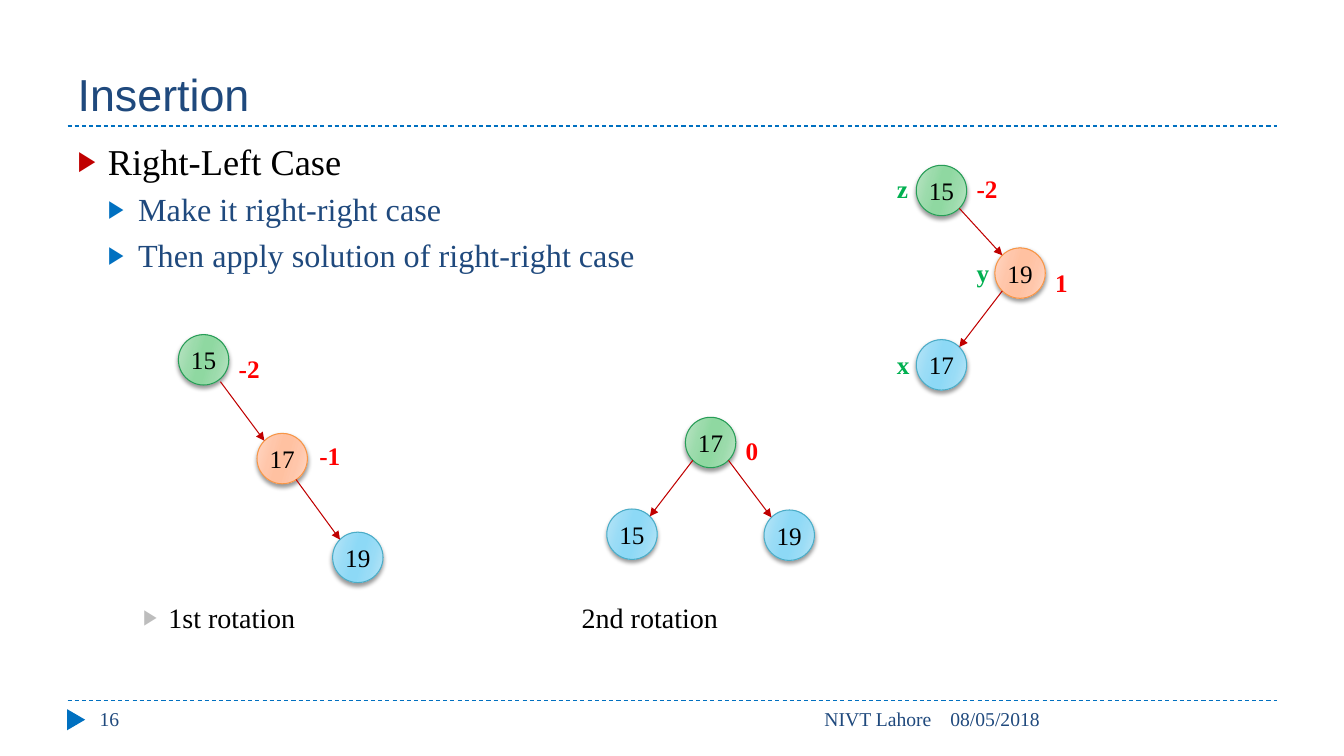
"""Build the slide on the right-left case of tree insertion."""
from pptx import Presentation
from pptx.dml.color import RGBColor
from pptx.enum.dml import MSO_LINE
from pptx.enum.shapes import MSO_CONNECTOR, MSO_SHAPE
from pptx.enum.text import MSO_ANCHOR, MSO_AUTO_SIZE, PP_ALIGN
from pptx.oxml import parse_xml
from pptx.oxml.ns import nsdecls, qn
from pptx.util import Inches, Pt
from lxml.etree import SubElement

DASH = MSO_LINE.DASH
LINE = MSO_CONNECTOR.STRAIGHT
OVAL, WEDGE = MSO_SHAPE.OVAL, MSO_SHAPE.ISOSCELES_TRIANGLE
TOP, MIDDLE, BOTTOM = MSO_ANCHOR.TOP, MSO_ANCHOR.MIDDLE, MSO_ANCHOR.BOTTOM
LEFT, CENTER, RIGHT = PP_ALIGN.LEFT, PP_ALIGN.CENTER, PP_ALIGN.RIGHT
FIXED = MSO_AUTO_SIZE.NONE

CELL = Inches(0.1)
WIDE, HIGH = 133.33, 75
EDGE, SPAN = 6.7, 120
NODE, REACH = 5, 1.77
TAB = 10
SERIF, SANS = "Times New Roman", "Arial"
STOPS = (0, 30, 45, 55, 73, 100)
COLORS = {
    "navy": "1F497D", "blue": "0070C0", "black": "000000", "gray": "BDBDBD",
    "dark": "C00000", "red": "FF0000", "green": "00B050",
}
SKINS = {
    "root": ("279D57", "BBE4C5", "9BDBAB", "8FD8A1"),
    "mid": ("F79646", "FFD7C5", "FFC6AA", "FFC1A1"),
    "leaf": ("4BACC6", "B9E5F7", "99DCF6", "8DD9F6"),
}
POINTS = (
    (0, "Right-Left Case", 26, "black", "dark", 6, 3, 3),
    (1, "Make it right-right case", 23, "navy", "blue", 5, 6, 3),
    (1, "Then apply solution of right-right case", 23, "navy", "blue", 5, 6, 3),
    (2, "1st rotation\t\t\t2nd rotation", 20, "black", "gray", 233.5, 9, 2.5),
)
TREES = (
    ((("15", "root", 90.9, 16.4), ("19", "mid", 98.7, 24.6),
      ("17", "leaf", 90.9, 33.7)), ((0, 1, 0, 0), (1, 2, 0, 0))),
    ((("15", "root", 17.7, 33.2), ("17", "mid", 25.5, 43),
      ("19", "leaf", 33, 52.8)), ((0, 1, -0.1, 0.4), (1, 2, -0.4, 0.3))),
    ((("17", "root", 68, 41.4), ("15", "leaf", 60.2, 50.5),
      ("19", "leaf", 75.8, 50.6)), ((0, 1, 0, 0), (0, 2, 0, 0))),
)
MARKS = (
    ("-2", "red", 95.9, 16.7), ("1", "red", 103.7, 26),
    ("-2", "red", 22.7, 34.6), ("-1", "red", 30.7, 43.2),
    ("0", "red", 73, 42.7), ("z", "green", 88, 16.7),
    ("y", "green", 95.9, 25), ("x", "green", 88, 34.2),
)
FEET = (
    ("08/05/2018", 93.3, 33.4, LEFT),
    ("NIVT Lahore", 42.3, 51.1, RIGHT),
    ("16", 8.9, 28.9, LEFT),
)


def grid(*cells):
    """Turn grid cells into lengths."""
    return [round(cell * CELL) for cell in cells]


def tint(name):
    """Return the named colour."""
    return RGBColor.from_string(COLORS.get(name, name))


def write(para, words, size, color, face=SERIF, bold=False):
    """Add one run to a paragraph."""
    run = para.add_run()
    run.text = words
    font = run.font
    font.size, font.name, font.bold = Pt(size), face, bold
    font.color.rgb = tint(color)


def place(shape, *cells):
    """Move a shape to a box of the grid."""
    shape.left, shape.top, shape.width, shape.height = grid(*cells)


def label(slide, box, words, size, color, bold=False, align=LEFT, anchor=TOP):
    """Add a one-line text box."""
    frame = slide.shapes.add_textbox(*grid(*box)).text_frame
    frame.word_wrap = not bold
    frame.vertical_anchor = anchor
    para = frame.paragraphs[0]
    para.alignment = align
    write(para, words, size, color, bold=bold)


def rule(slide, start, end, color):
    """Add a thin straight line."""
    line = slide.shapes.add_connector(LINE, *grid(*start, *end))
    line.line.color.rgb = tint(color)
    line.line.width = Pt(0.75)
    SubElement(line._element.spPr, qn("a:effectLst"))
    return line


def node(slide, words, skin, left, top):
    """Add a tree node with a soft gradient and shadow."""
    rim, pale, soft, deep = SKINS[skin]
    shape = slide.shapes.add_shape(OVAL, *grid(left, top, NODE, NODE))
    stops = "".join(
        f'<a:gs pos="{stop * 1000}"><a:srgbClr val="{shade}"/></a:gs>'
        for stop, shade in zip(STOPS, (pale, soft, deep, deep, soft, pale)))
    props = shape._element.spPr
    props.append(parse_xml(
        f'<a:gradFill {nsdecls("a")} rotWithShape="1"><a:gsLst>{stops}</a:gsLst>'
        f'<a:lin ang="{16 * 60000}" scaled="0"/></a:gradFill>'))
    shape.line.color.rgb = tint(rim)
    shape.line.width = Pt(0.75)
    shape.shadow.inherit = False
    props.find(qn("a:effectLst")).append(parse_xml(
        f'<a:outerShdw {nsdecls("a")} blurRad="{Pt(3)}" dist="{Pt(2)}" '
        f'dir="{90 * 60000}" rotWithShape="0"><a:srgbClr val="{COLORS["black"]}">'
        '<a:alpha val="40000"/></a:srgbClr></a:outerShdw>'))
    frame = shape.text_frame
    frame.margin_left = frame.margin_right = 0
    frame.vertical_anchor = MIDDLE
    para = frame.paragraphs[0]
    para.alignment = CENTER
    write(para, words, 18, "black")


def arrow(slide, upper, lower, across, down):
    """Join the rims of two nodes, with a shift of the start."""
    half = NODE / 2
    (ax, ay), (bx, by) = upper[2:], lower[2:]
    side = REACH if bx > ax else -REACH
    start = ax + half + side + across, ay + half + REACH + down
    end = bx + half - side, by + half - REACH
    line = rule(slide, start, end, "dark")
    SubElement(line.line._get_or_add_ln(), qn("a:tailEnd"), type="triangle")


def tree(slide, nodes, links):
    """Draw the nodes of a tree and the arrows between them."""
    for item in nodes:
        node(slide, *item)
    for upper, lower, across, down in links:
        arrow(slide, nodes[upper], nodes[lower], across, down)


def point(para, level, words, size, color, mark, gap, left, hang):
    """Fill one bulleted paragraph."""
    para.level = level
    para.alignment = LEFT
    para.space_before, para.space_after = Pt(gap), Pt(0)
    props = para._p.get_or_add_pPr()
    for name, cells in (("marL", left), ("indent", -hang), ("defTabSz", TAB)):
        props.set(name, str(grid(cells)[0]))
    shade = SubElement(props, qn("a:buClr"))
    SubElement(shade, qn("a:srgbClr"), val=COLORS[mark])
    SubElement(props, qn("a:buSzPct"), val="76000")
    SubElement(props, qn("a:buFont"), typeface=SANS)
    SubElement(props, qn("a:buChar"), char="▶")
    write(para, words, size, color)


def head(slide):
    """Fill the title."""
    title = slide.shapes.title
    place(title, EDGE, 1.7, SPAN, 10.8)
    frame = title.text_frame
    frame.auto_size, frame.vertical_anchor = FIXED, BOTTOM
    para = frame.paragraphs[0]
    para.alignment = LEFT
    write(para, "Insertion", 32, "navy", SANS)


def body(slide):
    """Fill the list."""
    holder = slide.placeholders[1]
    place(holder, EDGE, 13.3, SPAN, 54)
    frame = holder.text_frame
    frame.auto_size, frame.vertical_anchor = FIXED, TOP
    for order, item in enumerate(POINTS):
        para = frame.add_paragraph() if order else frame.paragraphs[0]
        point(para, *item)


def trim(slide):
    """Add the dashed rules, the page mark and the footer."""
    for row in (69.5, 12.5):
        line = rule(slide, (EDGE, row), (EDGE + SPAN, row), "blue")
        line.line.dash_style = DASH
    mark = slide.shapes.add_shape(WEDGE, *grid(6.5, 70.5, 2.1, 1.8))
    mark.rotation = 90
    mark.shadow.inherit = False
    mark.fill.solid()
    mark.fill.fore_color.rgb = tint("blue")
    mark.line.fill.background()
    for words, left, width, align in FEET:
        label(slide, (left, 69.3, width, 4), words, 14, "navy",
              align=align, anchor=MIDDLE)


def main():
    """Build and save the slide."""
    deck = Presentation()
    deck.slide_width, deck.slide_height = grid(WIDE, HIGH)
    slide = deck.slides.add_slide(deck.slide_layouts[1])
    trim(slide)
    head(slide)
    body(slide)
    for nodes, links in TREES:
        tree(slide, nodes, links)
    for words, color, left, top in MARKS:
        width = 2.5 + 0.9 * len(words)
        label(slide, (left, top, width, 4), words, 18, color, bold=True)
    deck.save("out.pptx")


if __name__ == "__main__":
    main()
